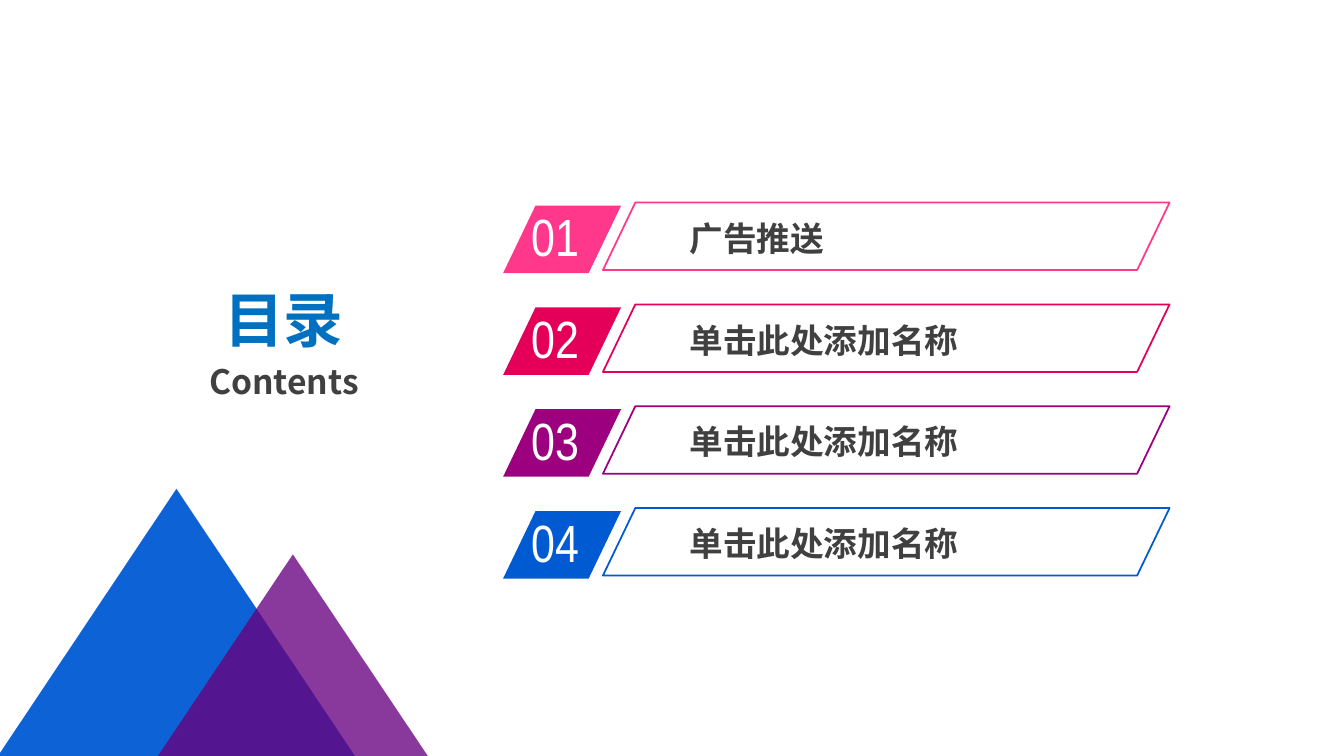
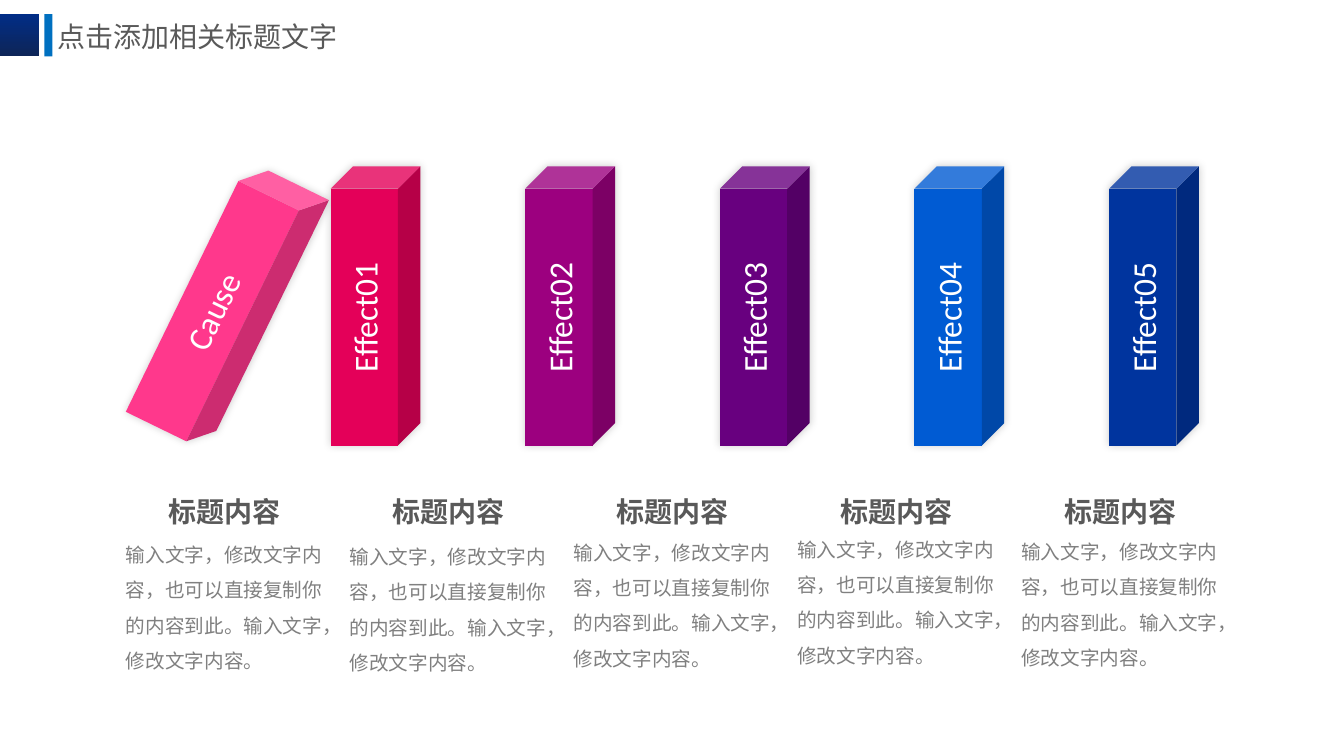
import pptx
import pptx.util
import pptx.dml.color
import pptx.enum.shapes
import pptx.enum.text
import pptx.oxml
import pptx.oxml.ns
from lxml import etree

Inches, Pt = pptx.util.Inches, pptx.util.Pt
SHAPE = pptx.enum.shapes.MSO_SHAPE
ALIGN = pptx.enum.text.PP_ALIGN
ANCHOR = pptx.enum.text.MSO_ANCHOR
AUTO = pptx.enum.text.MSO_AUTO_SIZE
qn = pptx.oxml.ns.qn

# Shared style
CJK, NARROW, LATIN = "Noto Sans CJK SC", "Arial Narrow", "Calibri"
PINK, RED, MAGENTA = "FF388C", "E40059", "9C007F"
PURPLE, BLUE, NAVY = "68007F", "005BD3", "00349E"
ACCENT, WHITE = "0070C0", "FFFFFF"
DARK, GREY, LIGHT = "404040", "595959", "808080"
TITLE_ONLY = 5


def rgb(color):
    return pptx.dml.color.RGBColor.from_string(color)


def add_run(p, text, size, color, font=CJK, bold=False):
    r = p.add_run()
    r.text = text
    r.font.name, r.font.size, r.font.bold = font, Pt(size), bold
    r.font.color.rgb = rgb(color)
    etree.SubElement(r.font._element, qn("a:ea"), typeface=font)


def set_insets(tf, x, y):
    tf.margin_left = tf.margin_right = Inches(x)
    tf.margin_top = tf.margin_bottom = Inches(y)


def add_text(s, at, text, size, color, font=CJK, bold=False):
    tf = s.shapes.add_textbox(*map(Inches, at)).text_frame
    tf.word_wrap = True
    tf.auto_size = AUTO.SHAPE_TO_FIT_TEXT
    add_run(tf.paragraphs[0], text, size, color, font, bold)
    return tf


def set_title(s, at, lines, align):
    """Each line is (text, size, color, bold, space before)."""
    sp = s.shapes.title
    sp.left, sp.top, sp.width, sp.height = map(Inches, at)
    tf = sp.text_frame
    tf.word_wrap = True
    tf.auto_size = AUTO.NONE
    tf.vertical_anchor = ANCHOR.MIDDLE
    for i, (text, size, color, bold, before) in enumerate(lines):
        p = tf.add_paragraph() if i else tf.paragraphs[0]
        p.alignment, p.space_before = align, Pt(before)
        add_run(p, text, size, color, bold=bold)


def add_shape(s, kind, at, fill=None, line=None, alpha=None):
    sp = s.shapes.add_shape(kind, *map(Inches, at))
    sp.shadow.inherit = False
    if fill:
        sp.fill.solid()
        sp.fill.fore_color.rgb = rgb(fill)
        if alpha:
            clr = sp.fill._xPr.find(qn("a:solidFill"))[0]
            etree.SubElement(clr, qn("a:alpha"), val=str(alpha * 1000))
    else:
        sp.fill.background()
    if line:
        sp.line.color.rgb = rgb(line)
        sp.line.width = Pt(1.25)
    else:
        sp.line.fill.background()
    return sp


def add_soft_shadow(sp):
    effects = sp._element.spPr.find(qn("a:effectLst"))
    shadow = etree.SubElement(effects, qn("a:outerShdw"), blurRad=str(Pt(6)),
                              dist="0", dir=str(315 * 60000), rotWithShape="0")
    clr = etree.SubElement(shadow, qn("a:srgbClr"), val="000000")
    etree.SubElement(clr, qn("a:alpha"), val="20000")


def add_header(s, text):
    band = add_shape(s, SHAPE.RECTANGLE, (-0.01, 0.14, 0.4, 0.42), NAVY)
    band.fill.gradient()
    band.fill.gradient_angle = 270
    for stop, color in zip(band.fill.gradient_stops, ("012D86", "0E2557")):
        stop.color.rgb = rgb(color)
    add_shape(s, SHAPE.RECTANGLE, (0.44, 0.14, 0.08, 0.42), ACCENT)
    set_title(s, (0.47, 0.06, 3.26, 0.61), [(text, 20, GREY, False, 10.6)], ALIGN.LEFT)


def add_agenda_row(s, i, text, color):
    y = 1.01 * i
    tag = add_shape(s, SHAPE.PARALLELOGRAM, (4.99, 2.04 + y, 1.17, 0.67), color)
    add_text(s, (5.17, 1.98 + y, 1.12, 0.73), f"{i + 1:02}", 37.4, WHITE, NARROW)
    add_text(s, (6.74, 2.11 + y, 4.12, 0.5), text, 24, DARK, bold=True)
    frame = add_shape(s, SHAPE.PARALLELOGRAM, (5.98, 2.01 + y, 5.62, 0.67), line=color)
    for sp in (tag, frame):
        sp.adjustments[0] = 0.48


def add_domino(s, x, text, color, tilt=0):
    sp = add_shape(s, SHAPE.CUBE, (x, 1.65, 0.89, 2.77), color)
    sp.rotation = tilt
    add_soft_shadow(sp)
    tf = sp.text_frame
    set_insets(tf, 0.13, 0.07)
    tf._txBody.bodyPr.set("vert", "vert270")
    p = tf.paragraphs[0]
    p.alignment = ALIGN.CENTER
    add_run(p, text, 23.9, WHITE, LATIN)


def add_caption(s, x, body_top):
    tf = add_text(s, (x + 0.52, 4.9, 1.12, 0.34), "标题内容", 20, GREY, bold=True)
    tf.word_wrap = False
    tf.vertical_anchor = ANCHOR.MIDDLE
    set_insets(tf, 0, 0)
    tf.paragraphs[0].alignment = ALIGN.CENTER
    tf.paragraphs[0].space_before = Pt(4)
    tf = add_text(s, (x, body_top, 2.15, 1.47),
                  "输入文字，修改文字内容，也可以直接复制你的内容到此。输入文字，修改文字内容。",
                  14, LIGHT)
    tf.paragraphs[0].line_spacing = 1.5


def build_contents(prs):
    s = prs.slides.add_slide(prs.slide_layouts[TITLE_ONLY])
    set_title(s, (1.17, 3.03, 3.29, 0.72),
              [("目录", 42.6, ACCENT, True, 8.5), ("Contents", 24, DARK, True, 4.8)],
              ALIGN.CENTER)
    # Agenda rows
    names = ["广告推送"] + ["单击此处添加名称"] * 3
    for i, (name, color) in enumerate(zip(names, (PINK, RED, MAGENTA, BLUE))):
        add_agenda_row(s, i, name, color)
    # Corner triangles
    add_shape(s, SHAPE.ISOSCELES_TRIANGLE, (-0.14, 4.85, 3.78, 2.83), BLUE, alpha=95)
    add_shape(s, SHAPE.ISOSCELES_TRIANGLE, (1.48, 5.5, 2.85, 2.13), PURPLE, alpha=78)


def build_dominoes(prs):
    s = prs.slides.add_slide(prs.slide_layouts[TITLE_ONLY])
    add_header(s, "点击添加相关标题文字")
    # Falling cause, then the upright effects
    add_domino(s, 1.81, "Cause", PINK, tilt=26)
    for i, color in enumerate((RED, MAGENTA, PURPLE, BLUE, NAVY)):
        add_domino(s, 3.28 + 1.93 * i, f"Effect{i + 1:02}", color)
    # Captions
    for i, top in enumerate((5.22, 5.24, 5.2, 5.17, 5.19)):
        add_caption(s, 1.15 + 2.22 * i, top)


def main():
    prs = pptx.Presentation()
    prs.slide_width, prs.slide_height = Inches(13.33), Inches(7.5)
    build_contents(prs)
    build_dominoes(prs)
    prs.save("out.pptx")


if __name__ == "__main__":
    main()
